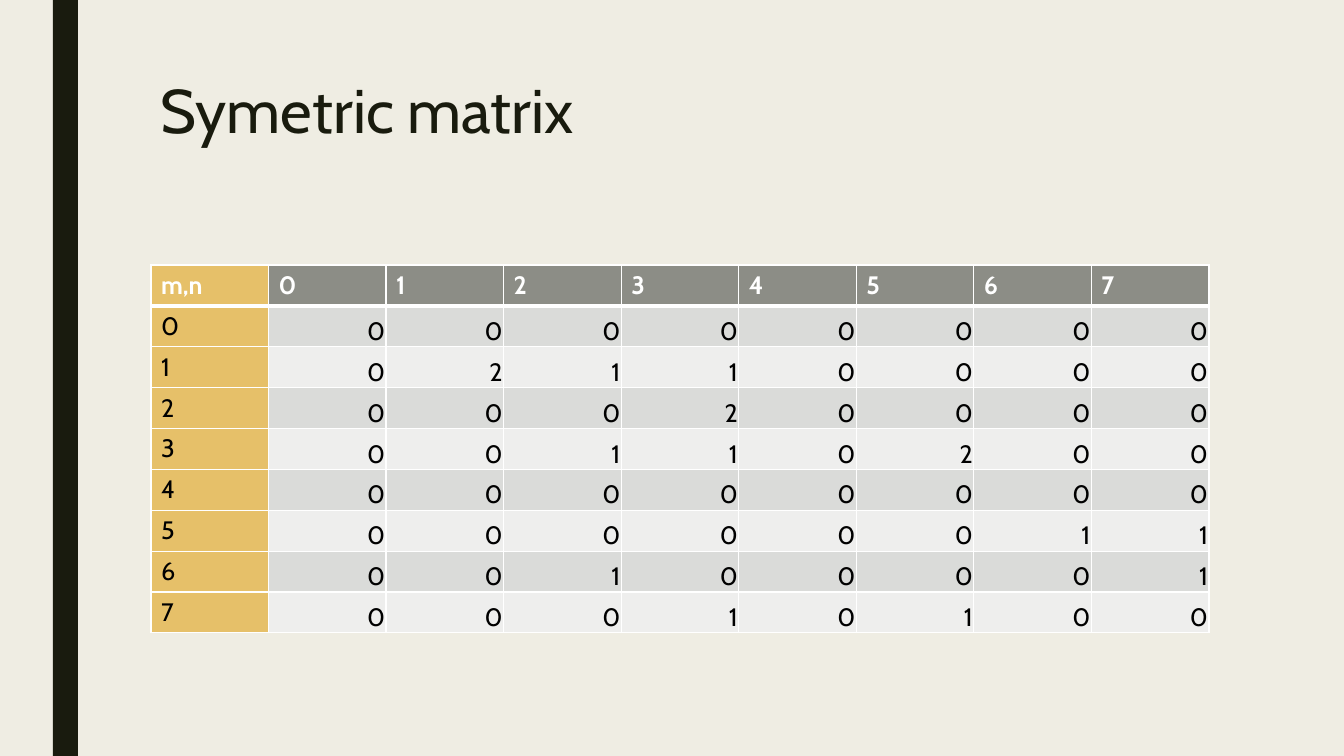
from dataclasses import dataclass

from lxml.etree import SubElement
from pptx import Presentation
from pptx.dml.color import RGBColor
from pptx.enum.shapes import MSO_SHAPE as Shape
from pptx.enum.text import MSO_ANCHOR as Anchor, PP_ALIGN as Align
from pptx.oxml.ns import qn
from pptx.util import Emu, Pt

PAGE_WIDTH, PAGE_HEIGHT = 1344, 756
EMU_PER_PX = 12192000 / PAGE_WIDTH

MATRIX = [
    [0, 0, 0, 0, 0, 0, 0, 0],
    [0, 2, 1, 1, 0, 0, 0, 0],
    [0, 0, 0, 2, 0, 0, 0, 0],
    [0, 0, 1, 1, 0, 2, 0, 0],
    [0, 0, 0, 0, 0, 0, 0, 0],
    [0, 0, 0, 0, 0, 0, 1, 1],
    [0, 0, 1, 0, 0, 0, 0, 1],
    [0, 0, 0, 1, 0, 1, 0, 0],
]


def px(length):
    return Emu(round(length * EMU_PER_PX))


@dataclass(frozen=True)
class Theme:
    font: str = "Cabin"
    title_size: int = 44
    cell_size: int = 18
    grid_width: int = 1
    header_width: int = 3
    background: str = "EFEDE3"
    dark: str = "191B0E"
    header: str = "8C8D86"
    index: str = "E6C069"
    bands: tuple = ("DADBD9", "EEEEED")
    text: str = "000000"
    white: str = "FFFFFF"


class MatrixSlide:
    """Draws the elements of one slide in a shared theme."""

    def __init__(self, deck, theme):
        self.theme = theme
        self.page = deck.slides.add_slide(deck.slide_layouts[6])
        self.fill(self.page.background, theme.background)

    def fill(self, target, color):
        target.fill.solid()
        target.fill.fore_color.rgb = RGBColor.from_string(color)

    def add_span(self, para, text, size, color, bold=False):
        span = para.add_run()
        span.text = text
        span.font.name = self.theme.font
        span.font.size = Pt(size)
        span.font.bold = bold
        span.font.color.rgb = RGBColor.from_string(color)

    def bar(self, left, top, width, height):
        shape = self.page.shapes.add_shape(
            Shape.RECTANGLE, px(left), px(top), px(width), px(height))
        shape.shadow.inherit = False
        self.fill(shape, self.theme.dark)
        shape.line.fill.background()

    def title(self, text, left, top, width, height):
        box = self.page.shapes.add_textbox(px(left), px(top), px(width), px(height))
        box.text_frame.word_wrap = True
        para = box.text_frame.paragraphs[0]
        para.line_spacing = 0.89
        self.add_span(para, text, self.theme.title_size, self.theme.dark)

    def borders(self, cell, top, bottom):
        grid = self.theme.grid_width
        properties = cell._tc.get_or_add_tcPr()
        for side, width in (("L", grid), ("R", grid), ("T", top), ("B", bottom)):
            line = SubElement(properties, qn(f"a:ln{side}"), w=str(Pt(width)))
            paint = SubElement(line, qn("a:solidFill"))
            SubElement(paint, qn("a:srgbClr"), val=self.theme.white)

    def cell(self, cell, text, row, column):
        theme = self.theme
        is_header, is_index = row == 0, column == 0
        self.borders(cell,
                     theme.header_width if row == 1 else theme.grid_width,
                     theme.header_width if is_header else theme.grid_width)
        if is_index:
            color = theme.index
        elif is_header:
            color = theme.header
        else:
            color = theme.bands[(row - 1) % 2]
        self.fill(cell, color)
        para = cell.text_frame.paragraphs[0]
        if not (is_header or is_index):
            para.alignment = Align.RIGHT
            cell.vertical_anchor = Anchor.BOTTOM
            cell.margin_left = cell.margin_right = cell.margin_top = px(1)
            cell.margin_bottom = 0
        self.add_span(para, text, theme.cell_size,
                      theme.white if is_header else theme.text, is_header)

    def matrix(self, corner, values, left, top, width, height):
        rows = [[corner, *range(len(values[0]))]]
        rows += [[index, *line] for index, line in enumerate(values)]
        table = self.page.shapes.add_table(
            len(rows), len(rows[0]), px(left), px(top), px(width), px(height)).table
        for row, line in enumerate(rows):
            for column, value in enumerate(line):
                self.cell(table.cell(row, column), str(value), row, column)


def main():
    deck = Presentation()
    deck.slide_width, deck.slide_height = px(PAGE_WIDTH), px(PAGE_HEIGHT)
    slide = MatrixSlide(deck, Theme())
    slide.bar(53, 0, 25, PAGE_HEIGHT)
    slide.title("Symetric matrix", 151, 76, 1058, 163)
    slide.matrix("m,n", MATRIX, 151, 265, 1058, 368)
    deck.save("out.pptx")


if __name__ == "__main__":
    main()
